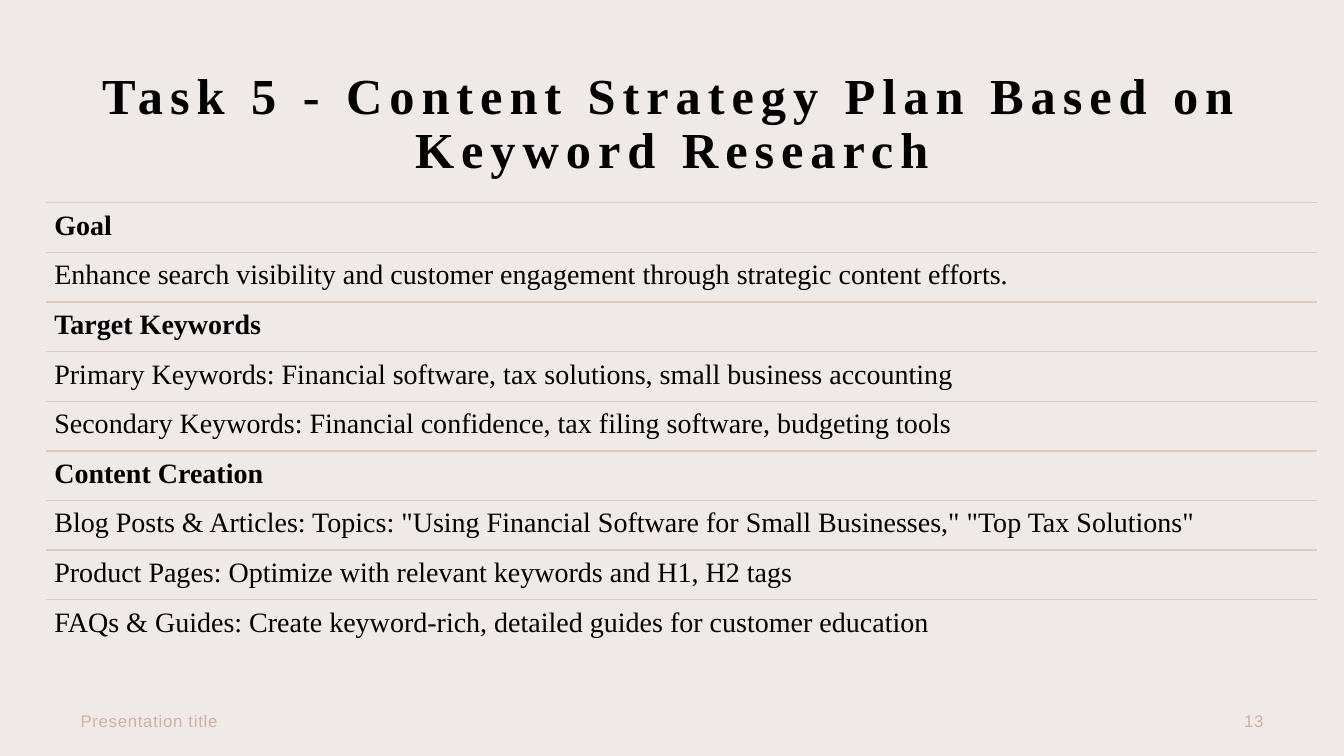
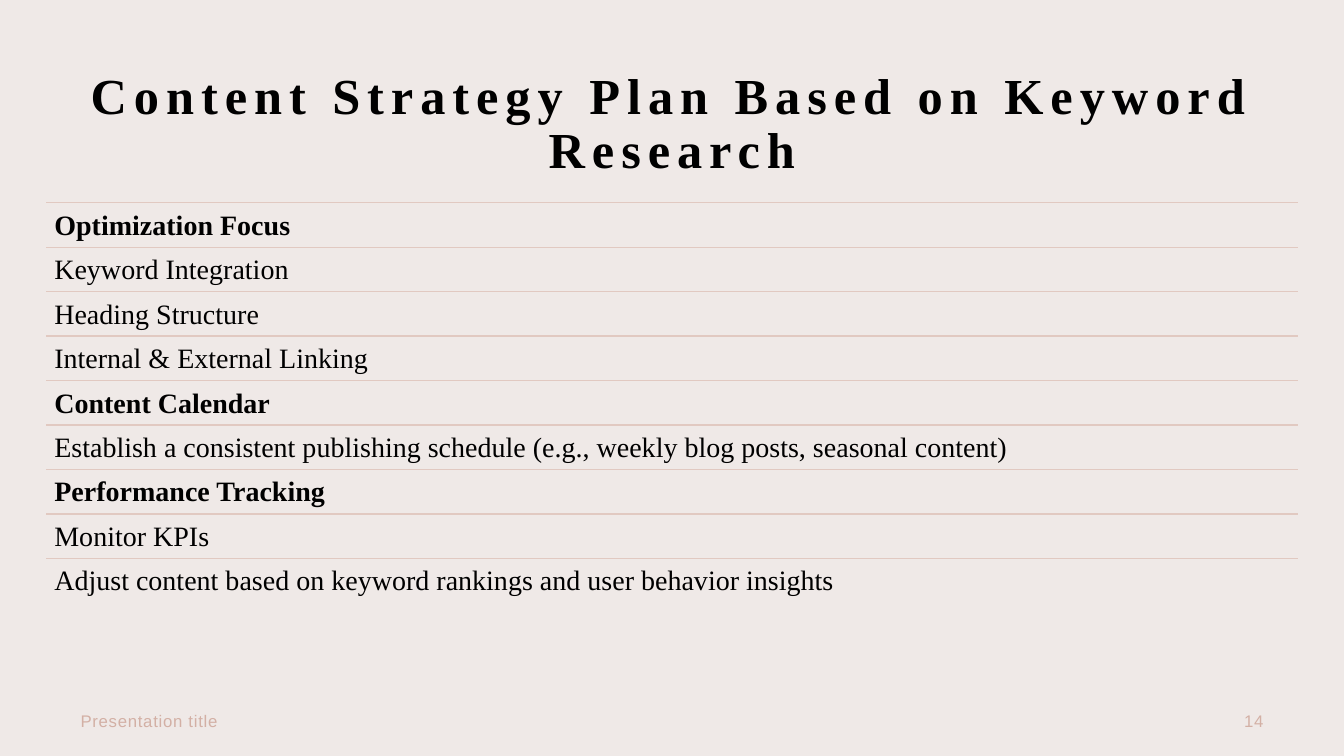
from lxml.etree import SubElement
from pptx import Presentation
from pptx.dml.color import RGBColor
from pptx.enum.shapes import MSO_CONNECTOR
from pptx.enum.text import MSO_ANCHOR, PP_ALIGN
from pptx.oxml.ns import qn
from pptx.util import Cm, Pt

HEADING, DETAIL = True, False
PAGES = [
    {
        "title": "Task 5 - Content Strategy Plan Based on Keyword Research",
        "number": 13,
        "row_width": 32.02,
        "row_height": 1.25,
        "rows": [
            (HEADING, "Goal"),
            (DETAIL, "Enhance search visibility and customer engagement "
                     "through strategic content efforts."),
            (HEADING, "Target Keywords"),
            (DETAIL, "Primary Keywords: Financial software, tax solutions, "
                     "small business accounting"),
            (DETAIL, "Secondary Keywords: Financial confidence, "
                     "tax filing software, budgeting tools"),
            (HEADING, "Content Creation"),
            (DETAIL, 'Blog Posts & Articles: Topics: "Using Financial Software '
                     'for Small Businesses," "Top Tax Solutions"'),
            (DETAIL, "Product Pages: Optimize with relevant keywords and H1, H2 tags"),
            (DETAIL, "FAQs & Guides: Create keyword-rich, detailed guides "
                     "for customer education"),
        ],
    },
    {
        "title": "Content Strategy Plan Based on Keyword Research",
        "number": 14,
        "row_width": 31.54,
        "row_height": 1.12,
        "rows": [
            (HEADING, "Optimization Focus"),
            (DETAIL, "Keyword Integration"),
            (DETAIL, "Heading Structure"),
            (DETAIL, "Internal & External Linking"),
            (HEADING, "Content Calendar"),
            (DETAIL, "Establish a consistent publishing schedule "
                     "(e.g., weekly blog posts, seasonal content)"),
            (HEADING, "Performance Tracking"),
            (DETAIL, "Monitor KPIs"),
            (DETAIL, "Adjust content based on keyword rankings "
                     "and user behavior insights"),
        ],
    },
]
FOOTER = "Presentation title"

BACKGROUND = RGBColor(0xEF, 0xE9, 0xE7)
BLACK = RGBColor(0x00, 0x00, 0x00)
FOOTER_COLOR = RGBColor(0xD3, 0xB0, 0xA5)
RULE_COLOR = RGBColor(0xE1, 0xC9, 0xC1)

SLIDE_WIDTH, SLIDE_HEIGHT = 33.87, 19.05
MARGIN = 1.78
TITLE_HEIGHT = 2.84
FOOTER_TOP, FOOTER_HEIGHT = 17.65, 1.02
FOOTER_WIDTH, NUMBER_WIDTH = 11.43, 7.62
ROWS_LEFT, ROWS_TOP = 1.16, 5.11

TITLE_STYLE = {
    "font": {"name": "Times New Roman", "size": Pt(36), "bold": True},
    "color": BLACK, "spacing": 5, "insets": (0, 0),
    "paragraph": {"alignment": PP_ALIGN.CENTER, "line_spacing": 0.9},
    "anchor": MSO_ANCHOR.TOP,
}
ROW_STYLE = {
    "font": {"name": "Times New Roman", "size": Pt(20), "bold": False},
    "color": BLACK, "spacing": 0, "insets": (0.21, 0.21),
    "paragraph": {"alignment": PP_ALIGN.LEFT, "line_spacing": 0.9},
    "anchor": MSO_ANCHOR.TOP,
}
HEADING_STYLE = ROW_STYLE | {"font": ROW_STYLE["font"] | {"bold": True}}
FOOTER_STYLE = {
    "font": {"name": "Arial", "size": Pt(12), "bold": False},
    "color": FOOTER_COLOR, "spacing": 0.5, "insets": (0.25, 0.13),
    "paragraph": {"alignment": PP_ALIGN.LEFT, "space_after": Pt(6)},
    "anchor": MSO_ANCHOR.MIDDLE,
}
NUMBER_STYLE = FOOTER_STYLE | {
    "paragraph": FOOTER_STYLE["paragraph"] | {"alignment": PP_ALIGN.RIGHT},
}


def set_all(target, values):
    for name, value in values.items():
        setattr(target, name, value)


def add_text(page, text, left, top, width, height, style):
    box = page.shapes.add_textbox(Cm(left), Cm(top), Cm(width), Cm(height))
    side, edge = (Cm(inset) for inset in style["insets"])
    frame = box.text_frame
    set_all(frame, {
        "word_wrap": True, "vertical_anchor": style["anchor"],
        "margin_left": side, "margin_right": side,
        "margin_top": edge, "margin_bottom": edge,
    })
    para = frame.paragraphs[0]
    set_all(para, style["paragraph"])
    span = para.add_run()
    span.text = text
    set_all(span.font, style["font"])
    span.font.color.rgb = style["color"]
    if style["spacing"]:
        # Letter spacing is stored in hundredths of a point
        span.font._element.set("spc", str(int(style["spacing"] * 100)))


def add_rule(page, left, top, width):
    rule = page.shapes.add_connector(
        MSO_CONNECTOR.STRAIGHT, Cm(left), Cm(top), Cm(left + width), Cm(top))
    rule.line.color.rgb = RULE_COLOR
    rule.line.width = Pt(1)
    SubElement(rule._element.spPr, qn("a:effectLst"))


def add_rows(page, rows, width, height):
    for index, (is_heading, text) in enumerate(rows):
        top = ROWS_TOP + index * height
        add_rule(page, ROWS_LEFT, top, width)
        add_text(page, text, ROWS_LEFT, top, width, height,
                 HEADING_STYLE if is_heading else ROW_STYLE)


def add_page(deck, content):
    page = deck.slides.add_slide(deck.slide_layouts[6])
    add_text(page, content["title"], MARGIN, MARGIN,
             SLIDE_WIDTH - 2 * MARGIN, TITLE_HEIGHT, TITLE_STYLE)
    add_text(page, FOOTER, MARGIN, FOOTER_TOP,
             FOOTER_WIDTH, FOOTER_HEIGHT, FOOTER_STYLE)
    add_text(page, str(content["number"]), SLIDE_WIDTH - MARGIN - NUMBER_WIDTH,
             FOOTER_TOP, NUMBER_WIDTH, FOOTER_HEIGHT, NUMBER_STYLE)
    add_rows(page, content["rows"], content["row_width"], content["row_height"])


def main():
    deck = Presentation()
    deck.slide_width, deck.slide_height = Cm(SLIDE_WIDTH), Cm(SLIDE_HEIGHT)
    fill = deck.slide_master.background.fill
    fill.solid()
    fill.fore_color.rgb = BACKGROUND
    for content in PAGES:
        add_page(deck, content)
    deck.save("out.pptx")


if __name__ == "__main__":
    main()
